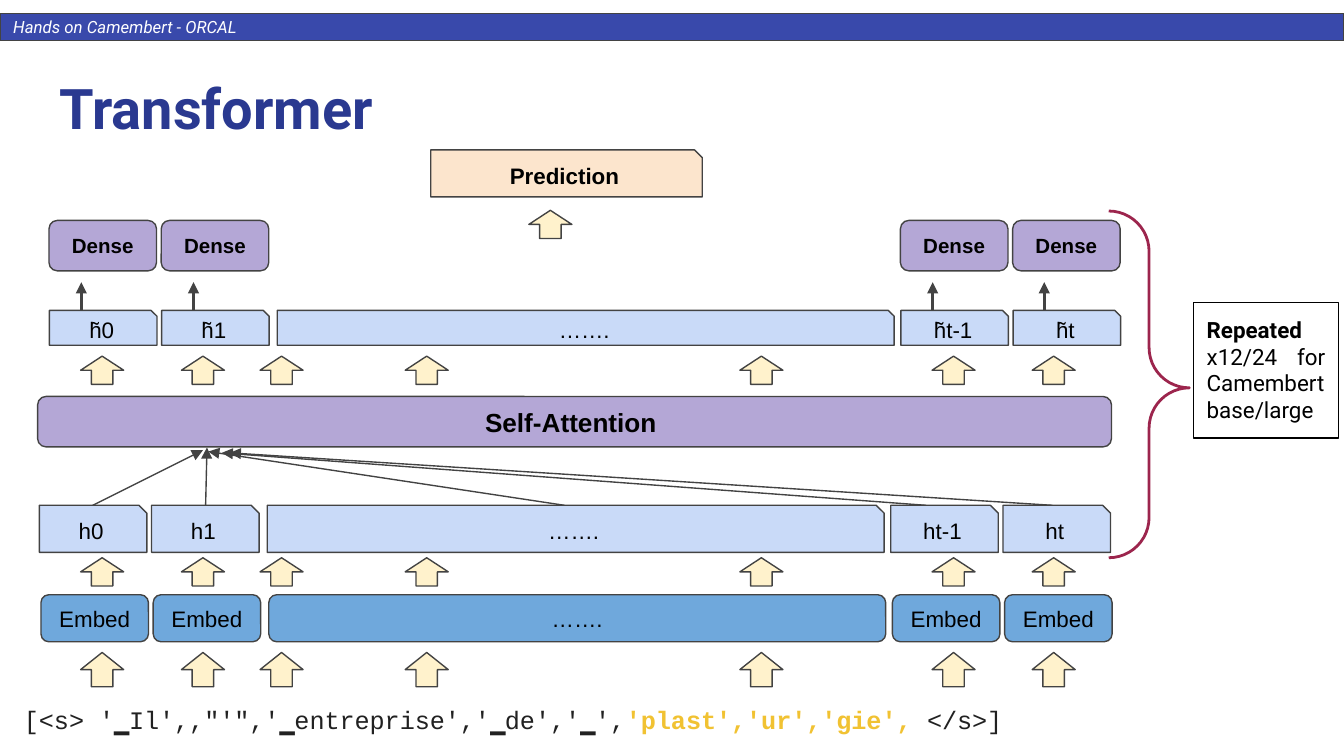
from lxml import etree
from pptx import Presentation
from pptx.dml.color import RGBColor
from pptx.enum.shapes import MSO_CONNECTOR, MSO_SHAPE
from pptx.enum.text import MSO_ANCHOR, MSO_AUTO_SIZE, PP_ALIGN
from pptx.oxml.ns import qn
from pptx.util import Inches, Pt

RECTANGLE, ROUNDED = MSO_SHAPE.RECTANGLE, MSO_SHAPE.ROUNDED_RECTANGLE
SNIPPED, UP_ARROW = MSO_SHAPE.SNIP_1_RECTANGLE, MSO_SHAPE.UP_ARROW
RIGHT_BRACE, STRAIGHT = MSO_SHAPE.RIGHT_BRACE, MSO_CONNECTOR.STRAIGHT
LEFT, CENTER, JUSTIFY = PP_ALIGN.LEFT, PP_ALIGN.CENTER, PP_ALIGN.JUSTIFY
TOP, MIDDLE, NO_AUTOFIT = MSO_ANCHOR.TOP, MSO_ANCHOR.MIDDLE, MSO_AUTO_SIZE.NONE

THEME = {
    "banner": "3949AB", "title": "2A3990", "outline": "434343", "brace": "9C254D",
    "embed": "6FA8DC", "hidden": "C9DAF8", "layer": "B4A7D6", "flow": "FFF2CC",
    "prediction": "FCE5CD", "token": "212121", "accent": "F1C232",
    "black": "000000", "white": "FFFFFF",
    "display font": "Roboto", "diagram font": "Arial", "code font": "Courier New",
    "title size": 30, "attention size": 14, "code size": 13.5, "label size": 12,
    "dense size": 11, "banner size": 9, "thin": 0.75, "thick": 1.5,
}

presentation = Presentation()
presentation.slide_width = Inches(10)
presentation.slide_height = presentation.slide_width * 9 // 16
slide = presentation.slides.add_slide(presentation.slide_layouts[5])
CELL = presentation.slide_width / 100


def style_text(shape, font, size, color="black", bold=False, italic=False,
               align=CENTER, anchor=MIDDLE):
    frame = shape.text_frame
    frame.word_wrap, frame.auto_size, frame.vertical_anchor = True, NO_AUTOFIT, anchor
    frame.margin_left = frame.margin_right = round(CELL)
    frame.margin_top = frame.margin_bottom = round(CELL)
    for paragraph in frame.paragraphs:
        paragraph.alignment = align
        for run in paragraph.runs:
            run.font.name, run.font.size = THEME[font], Pt(THEME[size])
            run.font.bold, run.font.italic = bold, italic
            run.font.color.rgb = RGBColor.from_string(THEME[color])


def add_block(kind, column, row, columns, rows, fill=None, line="outline",
              weight="thin", text=""):
    box = [round(value * CELL) for value in (column, row, columns, rows)]
    shape = slide.shapes.add_shape(kind, *box)
    shape.shadow.inherit = False
    if fill:
        shape.fill.solid()
        shape.fill.fore_color.rgb = RGBColor.from_string(THEME[fill])
    else:
        shape.fill.background()
    shape.line.color.rgb = RGBColor.from_string(THEME[line])
    shape.line.width = Pt(THEME[weight])
    if text:
        shape.text_frame.text = text
        style_text(shape, "diagram font", "label size")
    return shape


banner = add_block(RECTANGLE, 0, 1, 100, 2, "banner", text="Hands on Camembert - ORCAL")
style_text(banner, "display font", "banner size", "white", italic=True, align=LEFT)

title = slide.shapes.title
title.left, title.top = round(3.4 * CELL), round(4.5 * CELL)
title.width, title.height = round(93.2 * CELL), round(6.6 * CELL)
title.text_frame.text = "Transformer"
style_text(title, "display font", "title size", "title", bold=True, align=LEFT, anchor=TOP)

brace = add_block(RIGHT_BRACE, 82.5, 15.7, 6, 25.8, line="brace", weight="thick")
brace.adjustments[0], brace.adjustments[1] = 0.5, 0.51

note = add_block(RECTANGLE, 88.8, 22.5, 10.8, 10.1, line="black",
                 text="Repeated\vx12/24 for Camembert \nbase/large")
style_text(note, "display font", "label size", align=JUSTIFY, anchor=TOP)
note.text_frame.paragraphs[0].runs[0].font.bold = True

tokens = slide.shapes.add_textbox(*[round(value * CELL) for value in (0.8, 51.4, 86.7, 4.1)])
token_paragraph = tokens.text_frame.paragraphs[0]
for text in ("[<s> '▁Il',,\"'\",'▁entreprise','▁de','▁',", "'plast','ur','gie', ", "</s>]"):
    token_paragraph.add_run().text = text
style_text(tokens, "code font", "code size", "token", align=LEFT, anchor=TOP)
highlight = token_paragraph.runs[1].font
highlight.bold, highlight.color.rgb = True, RGBColor.from_string(THEME["accent"])

STEPS = [0, 8.35, 16.95, 63.35, 71.7]
WIDTHS = [8, 8, 45.9, 8, 8]
layer_rows = [
    (ROUNDED, 3.05, 44.25, 3.5, "embed", ["Embed", "Embed", "…….", "Embed", "Embed"]),
    (SNIPPED, 2.93, 37.6, 3.5, "hidden", ["h0", "h1", "…….", "ht-1", "ht"]),
    (SNIPPED, 3.68, 23.1, 2.6, "hidden", ["h̃0", "h̃1", "…….", "h̃t-1", "h̃t"]),
    (ROUNDED, 3.65, 16.4, 3.75, "layer", ["Dense", "Dense", "", "Dense", "Dense"]),
]
for kind, left, row, rows, fill, labels in layer_rows:
    for step, columns, label in zip(STEPS, WIDTHS, labels):
        if label:
            block = add_block(kind, left + step, row, columns, rows, fill, text=label)
        if label == "Dense":
            style_text(block, "diagram font", "dense size", bold=True)

attention = add_block(ROUNDED, 2.8, 29.5, 79.9, 3.75, "layer", text="Self-Attention ")
style_text(attention, "diagram font", "attention size", bold=True)
prediction = add_block(SNIPPED, 32.05, 11.15, 20.2, 3.5, "prediction", text="Prediction")
style_text(prediction, "diagram font", "label size", bold=True)

for row, rows in ((48.55, 2.55), (41.5, 2.1), (26.5, 2.1)):
    for column in (6, 13.5, 19.35, 30.15, 55.05, 69.35, 76.8):
        add_block(UP_ARROW, column, row, 3.2, rows, "flow")
add_block(UP_ARROW, 39.35, 15.65, 3.2, 2.1, "flow")

attention_links = [
    (6.9, 37.6, 15.1, 33.5), (15.3, 37.6, 15.4, 33.3), (78.3, 37.6, 17.1, 33.7),
    (68.9, 37.6, 16.5, 33.7), (42, 37.6, 15.5, 33.6),
]
dense_links = [(column, 23.1, column, 21) for column in (6.05, 14.4, 69.4, 77.7)]
for links, weight in ((attention_links, "thin"), (dense_links, "thick")):
    for link in links:
        connector = slide.shapes.add_connector(STRAIGHT, *[round(value * CELL) for value in link])
        connector.line.color.rgb = RGBColor.from_string(THEME["outline"])
        connector.line.width = Pt(THEME[weight])
        properties = connector.element.spPr
        etree.SubElement(properties.find(qn("a:ln")), qn("a:tailEnd"), type="triangle")
        etree.SubElement(properties, qn("a:effectLst"))

presentation.save("out.pptx")
